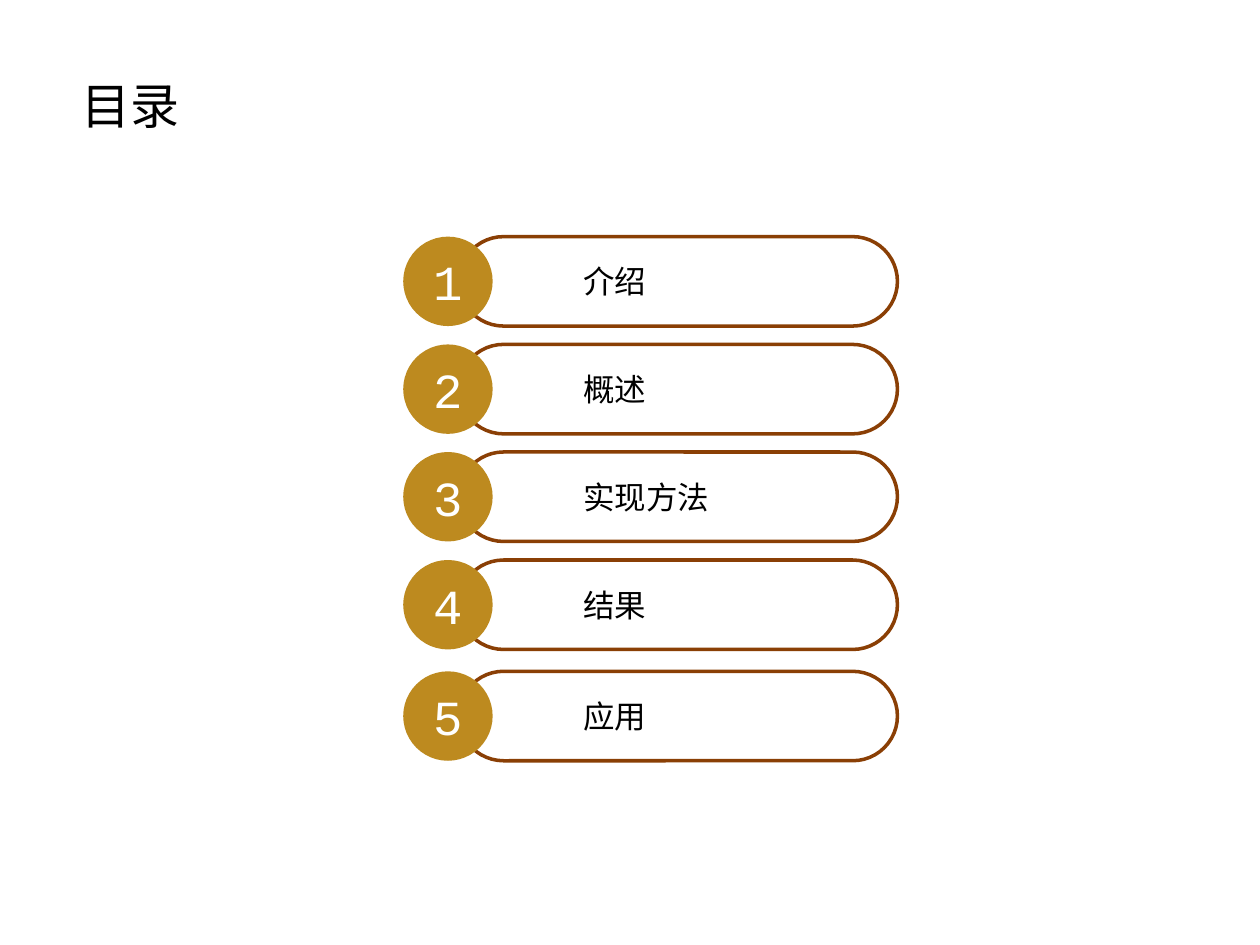
import pptx
import pptx.util
import pptx.dml.color
import pptx.enum.shapes
import pptx.enum.text
import pptx.oxml.ns
import lxml.etree

Pt = pptx.util.Pt
SHAPE = pptx.enum.shapes.MSO_SHAPE
ALIGN = pptx.enum.text.PP_ALIGN
ANCHOR = pptx.enum.text.MSO_ANCHOR
AUTO = pptx.enum.text.MSO_AUTO_SIZE

# Content: each entry with the top of its row
TITLE = "目录"
ENTRIES = [
    ("介绍", 135.2),
    ("概述", 196.8),
    ("实现方法", 258.3),
    ("结果", 320),
    ("应用", 383.6),
]

THEME = {
    "gold": "BD8A1F", "brown": "8A3F05", "black": "000000", "white": "FFFFFF",
    "cjk": "Noto Sans CJK SC", "mono": "Courier New",
    "large": 28, "label": 18,
}

# Layout
ROW_H = 51.1
CIRCLE_X, PILL_X, PILL_W, LABEL_X = 230.4, 262.2, 250.6, 326.2
LABEL_H = 28.8
INSET = 7.2


def rgb(name):
    return pptx.dml.color.RGBColor.from_string(THEME[name])


def add_run(p, text, size, font, color):
    r = p.add_run()
    r.text = text
    r.font.size = Pt(THEME[size])
    r.font.name = THEME[font]
    r.font.color.rgb = rgb(color)
    ea = lxml.etree.SubElement(r.font._element, pptx.oxml.ns.qn("a:ea"))
    ea.set("typeface", THEME[font])


def add_text(slide, text, x, y, w, h, size, wrap):
    tf = slide.shapes.add_textbox(Pt(x), Pt(y), Pt(w), Pt(h)).text_frame
    tf.word_wrap = wrap
    tf.auto_size = AUTO.SHAPE_TO_FIT_TEXT
    add_run(tf.paragraphs[0], text, size, "cjk", "black")


def add_pill(slide, y):
    sp = slide.shapes.add_shape(SHAPE.ROUNDED_RECTANGLE, Pt(PILL_X), Pt(y), Pt(PILL_W), Pt(ROW_H))
    sp.adjustments[0] = 0.5
    sp.shadow.inherit = False
    sp.fill.background()
    sp.line.color.rgb = rgb("brown")
    sp.line.width = Pt(2)


def add_number(slide, number, y):
    sp = slide.shapes.add_shape(SHAPE.OVAL, Pt(CIRCLE_X), Pt(y), Pt(ROW_H), Pt(ROW_H))
    sp.shadow.inherit = False
    sp.fill.solid()
    sp.fill.fore_color.rgb = rgb("gold")
    sp.line.fill.background()
    tf = sp.text_frame
    tf.vertical_anchor = ANCHOR.MIDDLE
    p = tf.paragraphs[0]
    p.alignment = ALIGN.CENTER
    add_run(p, str(number), "large", "mono", "white")


def main():
    prs = pptx.Presentation()
    prs.slide_width, prs.slide_height = Pt(720), Pt(540)
    slide = prs.slides.add_slide(prs.slide_layouts[6])

    # Title
    add_text(slide, TITLE, 39.6, 39.6, 78.5, 41, "large", True)

    # Numbered rows
    for number, (label, y) in enumerate(ENTRIES, 1):
        add_pill(slide, y)
        add_number(slide, number, y)
        label_w = len(label) * THEME["label"] + 2 * INSET
        add_text(slide, label, LABEL_X, y + (ROW_H - LABEL_H) / 2,
                 label_w, LABEL_H, "label", False)

    prs.save("out.pptx")


if __name__ == "__main__":
    main()
